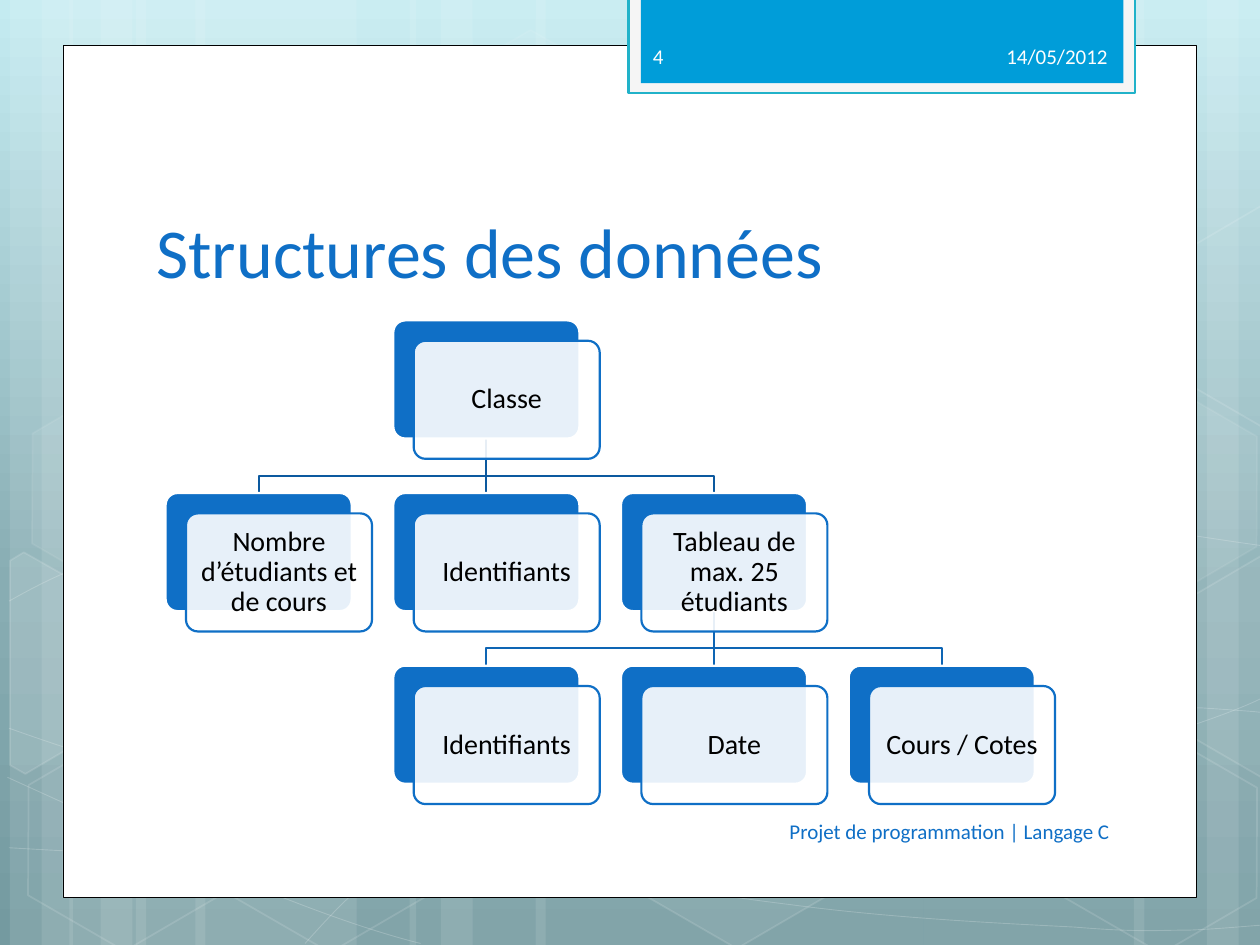
from copy import deepcopy
from math import cos, radians, sin
from pptx import Presentation
from pptx.dml.color import RGBColor
from pptx.enum.shapes import MSO_SHAPE as KIND
from pptx.enum.text import MSO_ANCHOR as ANCHOR, MSO_AUTO_SIZE as FIT, PP_ALIGN as ALIGN
from pptx.oxml.ns import qn
from pptx.oxml.xmlchemy import OxmlElement
from pptx.util import Cm, Pt

HUES = {"white": "FFFFFF", "black": "000000", "blue": "0F6FC6", "upper": "0C599F",
        "lower": "0E65B4", "sky": "009DD9", "teal": "21B2C9", "pale": "F5F5F5",
        "light": "FEFEFE", "top": "C4EBF1", "mid": "88ADB3", "base": "749AA0"}
FONT = "Calibri"
WIDE, HIGH, TILT = 25.4, 19.05, 30

TITLE = "Structures des données"
# text, left, top, width, height, hue, alignment
LABELS = [
    ("14/05/2012", 16.66, 0.62, 5.92, 1.02, "light", ALIGN.RIGHT),
    ("Projet de programmation | Langage C", 12.9, 16.25, 9.72, 1.02, "blue", ALIGN.RIGHT),
    ("4", 12.91, 0.62, 3.71, 1.02, "light", ALIGN.LEFT),
]
# text, column, row
NODES = [("Classe", 1, 0),
         ("Nombre d’étudiants et de cours", 0, 1), ("Identifiants", 1, 1),
         ("Tableau de max. 25 étudiants", 2, 1),
         ("Identifiants", 1, 2), ("Date", 2, 2), ("Cours / Cotes", 3, 2)]
# parent column, parent row, child columns, hue
LINKS = [(2, 1, (3, 2, 1), "lower"), (1, 0, (2, 1, 0), "upper")]
GRID_X, GRID_Y, STEP_X, STEP_Y = 3.34, 6.46, 4.59, 3.48
CARD_W, CARD_H, SHIFT, DROP, INSET, STEM = 3.75, 2.38, 0.41, 0.75, 0.07, 0.25

# left, width
VEILS = [(2.74, 4.45), (0.2, 1.27), (0.84, 2.11), (3.94, 4.45), (1.4, 1.27), (2.03, 2.11),
         (18.62, 4.45), (24.33, 1.27), (22.86, 2.11), (10.8, 7.82), (8.26, 1.27), (8.89, 2.11)]
# start point, then two handles and an end point for each curve
WAVES = [
    [(0.18, 17.09), (1.55, 17.17), (2.92, 17.25), (4.83, 17.22), (6.73, 17.2), (9.09, 17.15),
     (11.63, 16.89), (14.17, 16.64), (17.78, 16.15), (20.12, 15.67), (22.43, 15.19),
     (24.82, 14.43), (25.58, 14)],
    [(0.18, 12.12), (0.91, 11.71), (1.65, 11.33), (3.07, 10.95), (4.52, 10.57), (6.58, 10.01),
     (8.81, 9.83), (11.07, 9.65), (13.82, 9.63), (16.61, 9.83), (19.41, 10.03),
     (24.05, 10.82), (25.58, 11.02)],
    [(0.15, 15.67), (3.23, 17.07), (6.27, 18.47), (8.48, 19.02)],
    [(0.18, 14.68), (0.97, 14.96), (1.78, 15.24), (3.25, 15.65), (4.72, 16.03), (6.93, 16.66),
     (9.07, 17.09), (11.18, 17.53), (13.84, 17.98), (15.95, 18.24), (18.06, 18.52),
     (20.32, 18.62), (21.67, 18.69), (22.99, 18.8), (23.34, 18.75), (24, 18.75),
     (24.66, 18.72), (25.12, 18.67), (25.58, 18.64)],
    [(6.15, 19.02), (6.6, 18.52), (7.06, 18.01), (7.67, 17.55), (8.28, 17.09), (9.14, 16.59),
     (9.86, 16.23), (10.57, 15.88), (11, 15.72), (11.94, 15.47), (12.88, 15.21),
     (14.55, 14.86), (15.44, 14.68), (16.36, 14.5), (16.48, 14.5), (17.27, 14.45),
     (18.06, 14.38), (19.3, 14.3), (20.17, 14.27), (21.06, 14.25), (22.5, 14.27),
     (22.5, 14.27), (23, 14.27), (23.6, 14.27), (24.21, 14.27), (24.66, 14.3),
     (25.1, 14.33), (25.32, 14.35), (25.55, 14.38), (25.48, 14.35), (25.55, 14.38)],
]
# left, top, fill opacity, line opacity
HEXES = [(8.48, 0.91, 4, 8), (12.62, 14.96, 6, 12), (0.28, 15.01, 0, 12), (0.36, 7.92, 7, 8),
         (4.42, 15.04, 0, 12), (19.13, 11.51, 10, 12), (21.18, 15.06, 0, 12), (21.18, 7.98, 7, 8)]
# fill opacity, centre, points as they stand after the tilt
CUTS = [
    (10, (0.91, 13.59), [(0.2, 11.3), (0.48, 11.13), (2.44, 12.24), (2.41, 14.48),
                         (0.51, 15.6), (0.2, 15.42)]),
    (4, (25.02, 13.21), [(23.52, 12.32), (25.43, 11.2), (25.63, 11.33), (25.63, 15.57),
                         (25.45, 15.67), (23.52, 14.55)]),
    (0, (25.02, 6.12), [(23.52, 5.26), (25.43, 4.14), (25.65, 4.27), (25.63, 8.51),
                        (25.45, 8.61), (23.52, 7.49)]),
]
# left, top, width, height, fill, line, line width
PANELS = [(1.27, 0.91, 22.86, 17.19, "white", "black", 0.5),
          (12.67, -0.05, 10.21, 1.93, "pale", "teal", 1.25),
          (12.92, -0.05, 9.73, 1.73, "sky", None, 0)]

deck = Presentation()
deck.slide_width, deck.slide_height = Cm(WIDE), Cm(HIGH)
slide = deck.slides.add_slide(deck.slide_layouts[5])
shapes = slide.shapes


def rgb(hue):
    """Give the colour of a named hue."""
    return RGBColor.from_string(HUES[hue])


def fade(node, alpha):
    """Set the opacity, in percent, of the solid fill under a node."""
    if alpha < 100:
        tag = OxmlElement("a:alpha")
        tag.set("val", str(alpha * 1000))
        node.find(qn("a:solidFill"))[0].append(tag)


def paint(shape, fill=None, line=None, width=1, alpha=100, clear=100):
    """Set fill and line, with their opacities, and drop the shadow."""
    shape.shadow.inherit = False
    spot = shape.element.spPr
    if fill and alpha:
        shape.fill.solid()
        shape.fill.fore_color.rgb = rgb(fill)
        fade(spot, alpha)
    else:
        shape.fill.background()
    if line:
        shape.line.color.rgb = rgb(line)
        shape.line.width = Pt(width)
        fade(spot.find(qn("a:ln")), clear)
    else:
        shape.line.fill.background()


def block(kind, x, y, w, h, **look):
    """Add a painted preset shape."""
    shape = shapes.add_shape(kind, Cm(x), Cm(y), Cm(w), Cm(h))
    paint(shape, **look)
    return shape


def trace(dots, close=False, **look):
    """Add a painted outline through points."""
    dots = [(Cm(x), Cm(y)) for x, y in dots]
    pen = shapes.build_freeform(*dots[0])
    pen.add_line_segments(dots[1:], close=close)
    shape = pen.convert_to_shape()
    paint(shape, **look)
    return shape


def curve(dots, **look):
    """Add an outline whose segments are cubic curves."""
    shape = trace(dots[::3], **look)
    route = shape.element.find(".//" + qn("a:path"))
    for leg in route.findall(qn("a:lnTo")):
        route.remove(leg)
    for i in range(1, len(dots), 3):
        leg = OxmlElement("a:cubicBezTo")
        for x, y in dots[i:i + 3]:
            dot = OxmlElement("a:pt")
            dot.set("x", str(Cm(x) - shape.left))
            dot.set("y", str(Cm(y) - shape.top))
            leg.append(dot)
        route.append(leg)


def turn(dot, mid, angle):
    """Turn a point about a centre by an angle in degrees."""
    a, x, y = radians(angle), dot[0] - mid[0], dot[1] - mid[1]
    return mid[0] + x * cos(a) - y * sin(a), mid[1] + x * sin(a) + y * cos(a)


def write(shape, text, size, hue, align, anchor=ANCHOR.MIDDLE):
    """Put one styled run into a shape."""
    frame = shape.text_frame
    frame.word_wrap = True
    frame.auto_size = FIT.NONE
    frame.vertical_anchor = anchor
    para = frame.paragraphs[0]
    para.alignment = align
    run = para.add_run()
    run.text = text
    run.font.name, run.font.size, run.font.color.rgb = FONT, Pt(size), rgb(hue)
    return frame


def box(x, y, w, h, *text):
    """Add a text box with one styled run."""
    return write(shapes.add_textbox(Cm(x), Cm(y), Cm(w), Cm(h)), *text)


def place(col, row):
    """Give the corner of a cell in the tree."""
    return GRID_X + col * STEP_X, GRID_Y + row * STEP_Y


def link(col, row, kid, hue):
    """Join a node to a child in the next row."""
    x, y = place(col, row)
    x, y = x + CARD_W / 2, y + CARD_H
    end, foot = x + (kid - col) * STEP_X, y + STEP_Y - CARD_H
    bend = [(x, y + DROP), (end, y + DROP)] if kid != col else []
    shape = trace([(x, y), *bend, (end, foot)], line=hue, width=1.25)
    if not bend:
        shape.left, shape.width = Cm(x - STEM / 2), Cm(STEM)
        route = shape.element.find(".//" + qn("a:path"))
        route.set("w", str(Cm(STEM)))
        for dot in route.iter(qn("a:pt")):
            dot.set("x", str(Cm(STEM / 2)))


def card(text, col, row):
    """Add a solid card, a veiled card over it and its text."""
    x, y = place(col, row)
    for gap, fill, line, alpha in ((0, "blue", "white", 100), (SHIFT, "white", "blue", 90)):
        shape = block(KIND.ROUNDED_RECTANGLE, x + gap, y + gap, CARD_W, CARD_H,
                      fill=fill, line=line, width=1.25, alpha=alpha)
        shape.adjustments[0] = 0.1
    gap = SHIFT + INSET
    frame = box(x + gap, y + gap, CARD_W - 2 * INSET, CARD_H - 2 * INSET,
                text, 16, "black", ALIGN.CENTER)
    frame.margin_left = frame.margin_right = Cm(0.17)
    frame.margin_top = frame.margin_bottom = Cm(0.17)
    frame.paragraphs[0].line_spacing = 0.9


wash = slide.background.fill
wash.gradient()
wash.gradient_angle = 270
stops = slide.element.find(".//" + qn("a:gsLst"))
stops.insert(1, deepcopy(stops[0]))
for stop, hue, spot in zip(wash.gradient_stops, ("top", "mid", "base"), (0, 0.62, 1)):
    stop.color.rgb, stop.position = rgb(hue), spot

for x, w in VEILS:
    block(KIND.RECTANGLE, x, 0, w, HIGH, fill="white", alpha=10)
for wave in WAVES:
    curve(wave, line="white", width=0.5, clear=20)
for x, y, alpha, clear in HEXES:
    hexa = block(KIND.HEXAGON, x, y, 4.45, 3.86, fill="white", line="white",
                 alpha=alpha, clear=clear)
    hexa.adjustments[0] = 0.285
    hexa.rotation = TILT
for alpha, mid, dots in CUTS:
    cut = trace([turn(dot, mid, -TILT) for dot in dots], True,
                fill="white", line="white", alpha=alpha, clear=12)
    cut.rotation = TILT
for x, y, w, h, fill, line, width in PANELS:
    block(KIND.RECTANGLE, x, y, w, h, fill=fill, line=line, width=width)

title = shapes.title
title.element.getparent().append(title.element)
title.left, title.top, title.width, title.height = Cm(2.9), Cm(2.84), Cm(19.51), Cm(3.18)
write(title, TITLE, 40, "blue", ALIGN.LEFT, ANCHOR.BOTTOM)
for text, x, y, w, h, hue, align in LABELS:
    box(x, y, w, h, text, 12, hue, align)

for col, row, kids, hue in LINKS:
    for kid in kids:
        link(col, row, kid, hue)
for node in NODES:
    card(*node)

deck.save("out.pptx")
